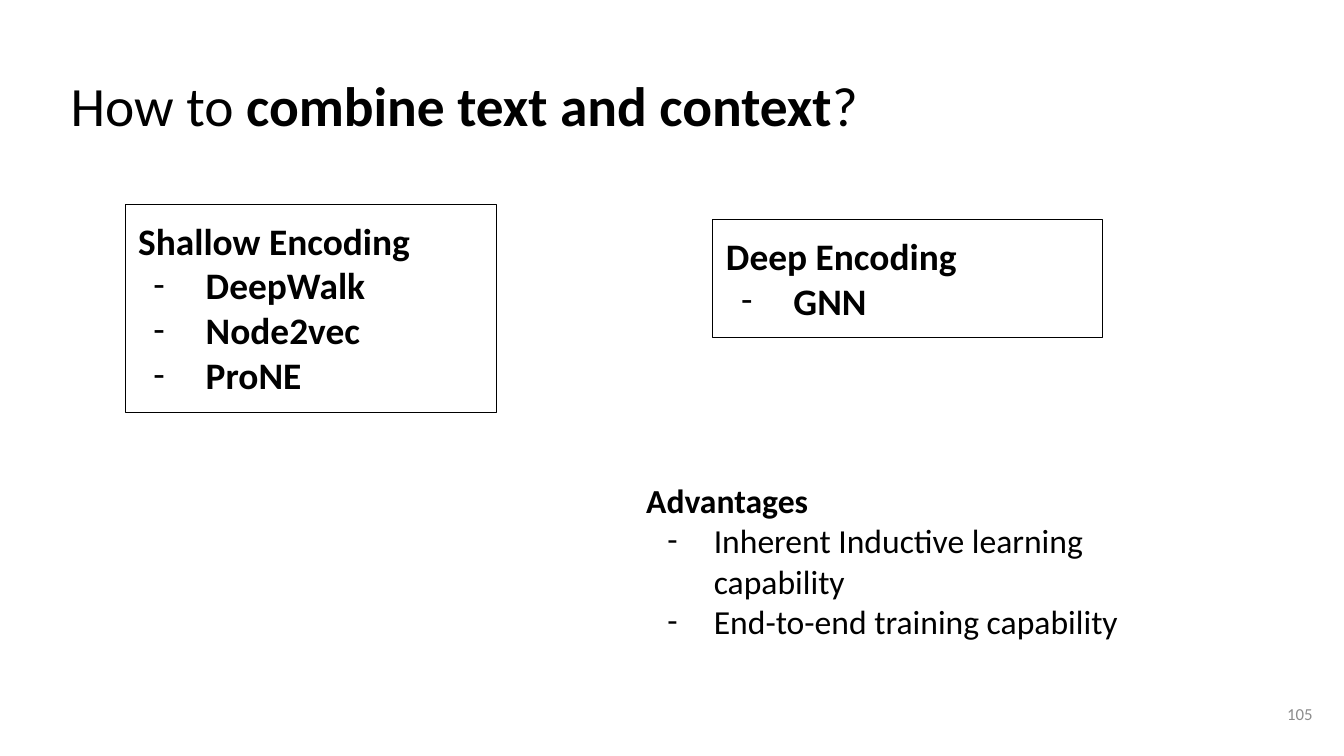
from lxml.etree import SubElement
from pptx import Presentation
from pptx.dml.color import RGBColor
from pptx.enum.shapes import MSO_SHAPE
from pptx.enum.text import MSO_ANCHOR as ANCHOR, PP_ALIGN as ALIGN
from pptx.oxml.ns import qn
from pptx.util import Inches, Pt

FONT = "Calibri"
BLACK = "000000"
GREY = "8C8C8C"
INSET = 0.13
BULLET_INDENT = 0.67


def color(hex_code):
    return RGBColor.from_string(hex_code)


def add_dash(paragraph, hanging):
    """Give the paragraph a dash bullet, hanging that many inches left of its text."""
    properties = paragraph._p.get_or_add_pPr()
    properties.set("marL", str(Inches(BULLET_INDENT)))
    properties.set("indent", str(-Inches(hanging)))
    SubElement(properties, qn("a:buFont"), typeface=FONT)
    SubElement(properties, qn("a:buChar"), char="-")


def write(paragraph, text, size, bold=False, ink=BLACK, align=ALIGN.LEFT):
    paragraph.alignment = align
    run = paragraph.add_run()
    run.text = text
    run.font.name = FONT
    run.font.size = Pt(size)
    run.font.bold = bold
    run.font.color.rgb = color(ink)


def prepare_frame(shape, anchor=ANCHOR.TOP, left_inset=INSET):
    frame = shape.text_frame
    frame.word_wrap = True
    frame.vertical_anchor = anchor
    frame.margin_left = Inches(left_inset)
    frame.margin_top = frame.margin_right = frame.margin_bottom = Inches(INSET)
    return frame


def add_text_area(slide, place, **layout):
    return prepare_frame(slide.shapes.add_textbox(*map(Inches, place)), **layout)


def add_outlined_area(slide, place):
    box = slide.shapes.add_shape(MSO_SHAPE.RECTANGLE, *map(Inches, place))
    box.shadow.inherit = False
    box.fill.background()
    box.line.color.rgb = color(BLACK)
    box.line.width = Pt(0.75)
    return prepare_frame(box)


def write_list(frame, heading, items, size, hanging, bold_items):
    write(frame.paragraphs[0], heading, size, bold=True)
    for item in items:
        paragraph = frame.add_paragraph()
        add_dash(paragraph, hanging)
        write(paragraph, item, size, bold=bold_items)


def main():
    deck = Presentation()
    deck.slide_width, deck.slide_height = Inches(13.33), Inches(7.5)
    slide = deck.slides.add_slide(deck.slide_layouts[6])

    title = add_text_area(slide, (0.45, 0.65, 12.42, 0.84), left_inset=0.25).paragraphs[0]
    title.line_spacing = 0.9
    write(title, "How to ", 39.6)
    write(title, "combine text and context", 39.6, bold=True)
    write(title, "?", 39.6)

    encodings = [
        ("Shallow Encoding", ["DeepWalk", "Node2vec", "ProNE"], (1.24, 2.03, 3.68, 2.06)),
        ("Deep Encoding", ["GNN"], (7.07, 2.18, 3.87, 1.17)),
    ]
    for heading, methods, place in encodings:
        write_list(add_outlined_area(slide, place), heading, methods,
                   size=26.7, hanging=0.52, bold_items=True)

    page_number = add_text_area(slide, (12.35, 6.8, 0.8, 0.57), anchor=ANCHOR.MIDDLE)
    write(page_number.paragraphs[0], "105", 12, ink=GREY, align=ALIGN.RIGHT)

    advantages = add_text_area(slide, (6.28, 4.63, 5.47, 1.17))
    write_list(advantages, "Advantages",
               ["Inherent Inductive learning capability", "End-to-end training capability"],
               size=24, hanging=0.46, bold_items=False)

    deck.save("out.pptx")


if __name__ == "__main__":
    main()
